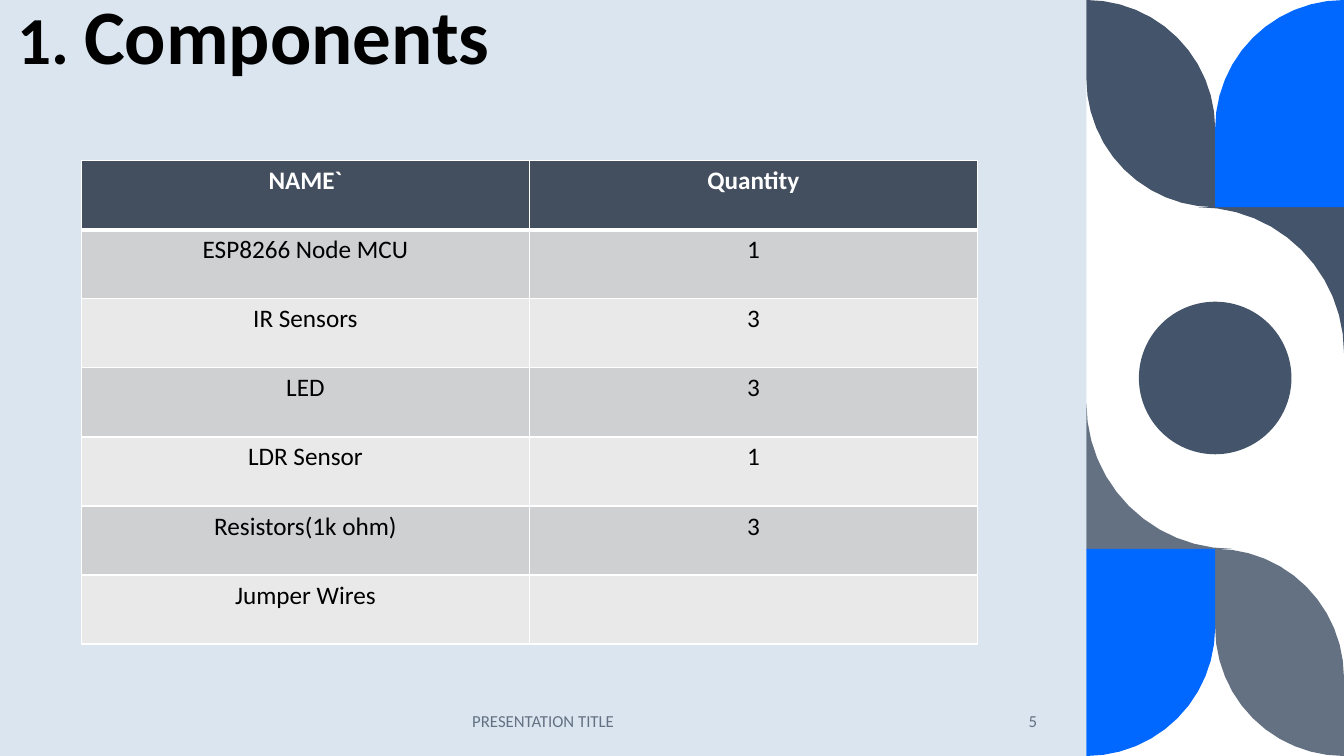
from math import cos, radians, sin

from lxml import etree
from pptx import Presentation
from pptx.dml.color import RGBColor
from pptx.enum.shapes import MSO_SHAPE
from pptx.enum.text import MSO_ANCHOR, PP_ALIGN
from pptx.oxml.ns import qn
from pptx.util import Pt

# Content
TITLE = [("1. ", 48), ("Components", 55)]
HEADER = ("NAME`", "Quantity")
ROWS = [
    ("ESP8266 Node MCU", "1"),
    ("IR Sensors", "3"),
    ("LED", "3"),
    ("LDR Sensor", "1"),
    ("Resistors(1k ohm)", "3"),
    ("Jumper Wires", ""),
]
FOOTER, NUMBER = "PRESENTATION TITLE", "5"
COLORS = {
    "sky": "DAE5EF", "navy": "44546A", "slate": "637183", "blue": "0068FF",
    "header": "434E5E", "odd": "CFD0D2", "even": "E9E9EA",
    "white": "FFFFFF", "black": "000000",
}

# Geometry
W, H = 960, 540
LEFT, RIGHT = 776, W              # decorated strip
MID = (LEFT + RIGHT) / 2
R = MID - LEFT                    # radius of leaves and blue tiles
TILE = 148                        # tile height
FILLET = 104                      # radius of the corner fillets
DOT = 109                         # diameter of the central circle


def rgb(name):
    return RGBColor.from_string(COLORS[name])


def add_text(p, text, size=18, color="black", bold=False, align=None):
    r = p.add_run()
    r.text = text
    r.font.name = "Calibri"
    r.font.size = Pt(size)
    r.font.bold = bold
    r.font.color.rgb = rgb(color)
    if align is not None:
        p.alignment = align


def paint(sp, color):
    sp.shadow.inherit = False
    sp.fill.solid()
    sp.fill.fore_color.rgb = rgb(color)
    sp.line.fill.background()


def add_preset(kind, x, y, w, h, color):
    paint(s.shapes.add_shape(kind, Pt(x), Pt(y), Pt(w), Pt(h)), color)


def arc(cx, cy, radius, start, end, steps=12):
    angles = [radians(start + (end - start) * i / steps) for i in range(steps + 1)]
    return [(cx + radius * cos(a), cy + radius * sin(a)) for a in angles]


def add_outline(points, color):
    (x, y), *rest = [(Pt(x), Pt(y)) for x, y in points]
    fb = s.shapes.build_freeform(x, y)
    fb.add_line_segments(rest, close=True)
    paint(fb.convert_to_shape(), color)


def add_label(x, y, w, h, text, align):
    tf = s.shapes.add_textbox(Pt(x), Pt(y), Pt(w), Pt(h)).text_frame
    tf.word_wrap = True
    tf.vertical_anchor = MSO_ANCHOR.MIDDLE
    add_text(tf.paragraphs[0], text, size=12, color="slate", align=align)


def set_borders(cell, **widths):
    tc_pr = cell._tc.get_or_add_tcPr()
    for i, side in enumerate("LRTB"):
        ln = etree.Element(qn(f"a:ln{side}"), w=str(Pt(widths.get(side, 1))))
        fill = etree.SubElement(ln, qn("a:solidFill"))
        etree.SubElement(fill, qn("a:srgbClr"), val=COLORS["white"])
        tc_pr.insert(i, ln)


prs = Presentation()
prs.slide_width, prs.slide_height = Pt(W), Pt(H)
s = prs.slides.add_slide(prs.slide_layouts[5])

# Background
add_preset(MSO_SHAPE.RECTANGLE, 0, 0, LEFT, H, "sky")

# Strip: the lower half is the upper half turned by 180 degrees
leaf = ([(LEFT, 0)] + arc(MID, TILE - R, R, 180, 90)
        + arc(LEFT, R, R, 0, -90)[:-1])
fillet = [(RIGHT, TILE)] + arc(RIGHT - FILLET, TILE + FILLET, FILLET, -90, 0)
tile = [(RIGHT, TILE), (MID, TILE)] + arc(RIGHT, R, R, 180, 270)
for points, upper, lower in [(leaf, "navy", "slate"),
                             (fillet, "navy", "slate"),
                             (tile, "blue", "blue")]:
    add_outline(points, upper)
    add_outline([(LEFT + RIGHT - x, H - y) for x, y in points], lower)
add_preset(MSO_SHAPE.OVAL, MID - DOT / 2, (H - DOT) / 2, DOT, DOT, "navy")

# Title, brought in front of the background
title = s.shapes.title
s.shapes._spTree.append(title._element)
title.left, title.top, title.width, title.height = Pt(12.2), Pt(-42.5), Pt(662), Pt(104.4)
tf = title.text_frame
tf.word_wrap = True
tf.vertical_anchor = MSO_ANCHOR.BOTTOM
tf.margin_left = 0
p = tf.paragraphs[0]
p.line_spacing = 0.9
for text, size in TITLE:
    add_text(p, text, size=size, bold=True, align=PP_ALIGN.LEFT)

# Components table
grid = [HEADER] + ROWS
table = s.shapes.add_table(len(grid), len(HEADER), Pt(58.2), Pt(114.8),
                           Pt(640), Pt(49.35 * len(grid))).table
for i, row in enumerate(grid):
    band = "header" if i == 0 else "odd" if i % 2 else "even"
    for j, text in enumerate(row):
        cell = table.cell(i, j)
        cell.fill.solid()
        cell.fill.fore_color.rgb = rgb(band)
        set_borders(cell, T=3 if i == 1 else 1, B=3 if i == 0 else 1)
        if text:
            add_text(cell.text_frame.paragraphs[0], text, bold=i == 0,
                     color="white" if i == 0 else "black", align=PP_ALIGN.CENTER)

# Footer
add_label(226, 500.5, 324, 28.75, FOOTER, PP_ALIGN.CENTER)
add_label(656, 500.5, 92, 28.75, NUMBER, PP_ALIGN.RIGHT)

prs.save("out.pptx")
